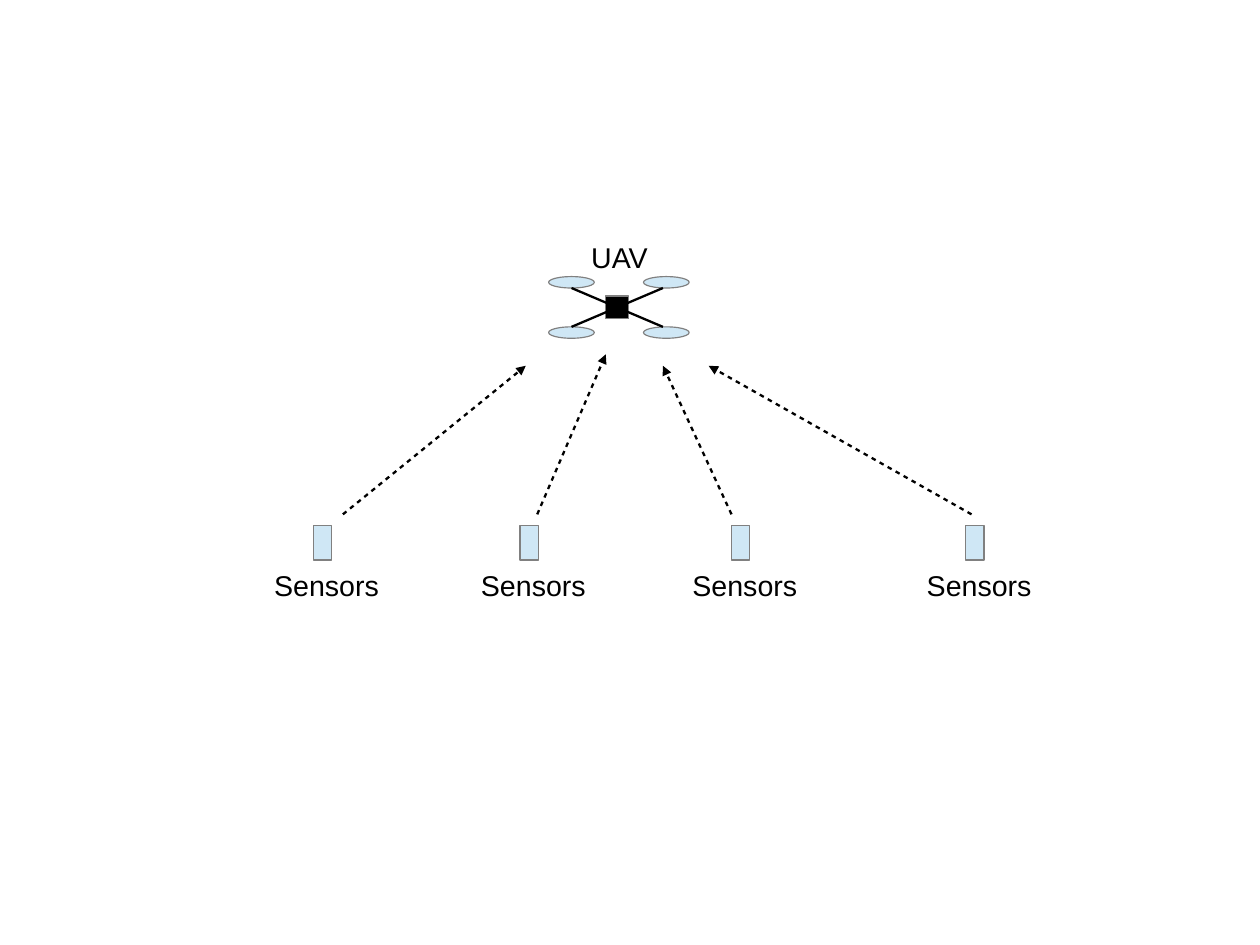
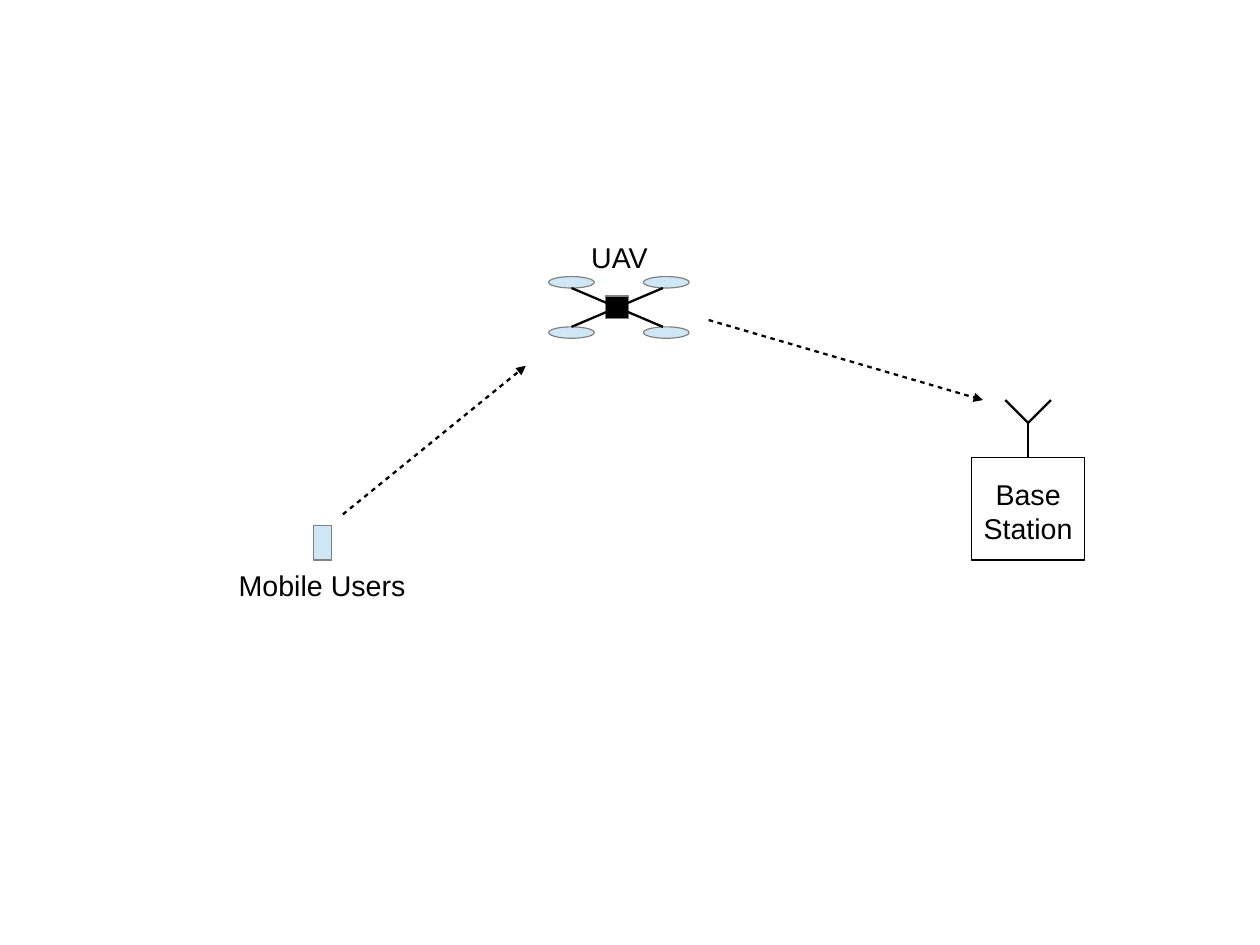
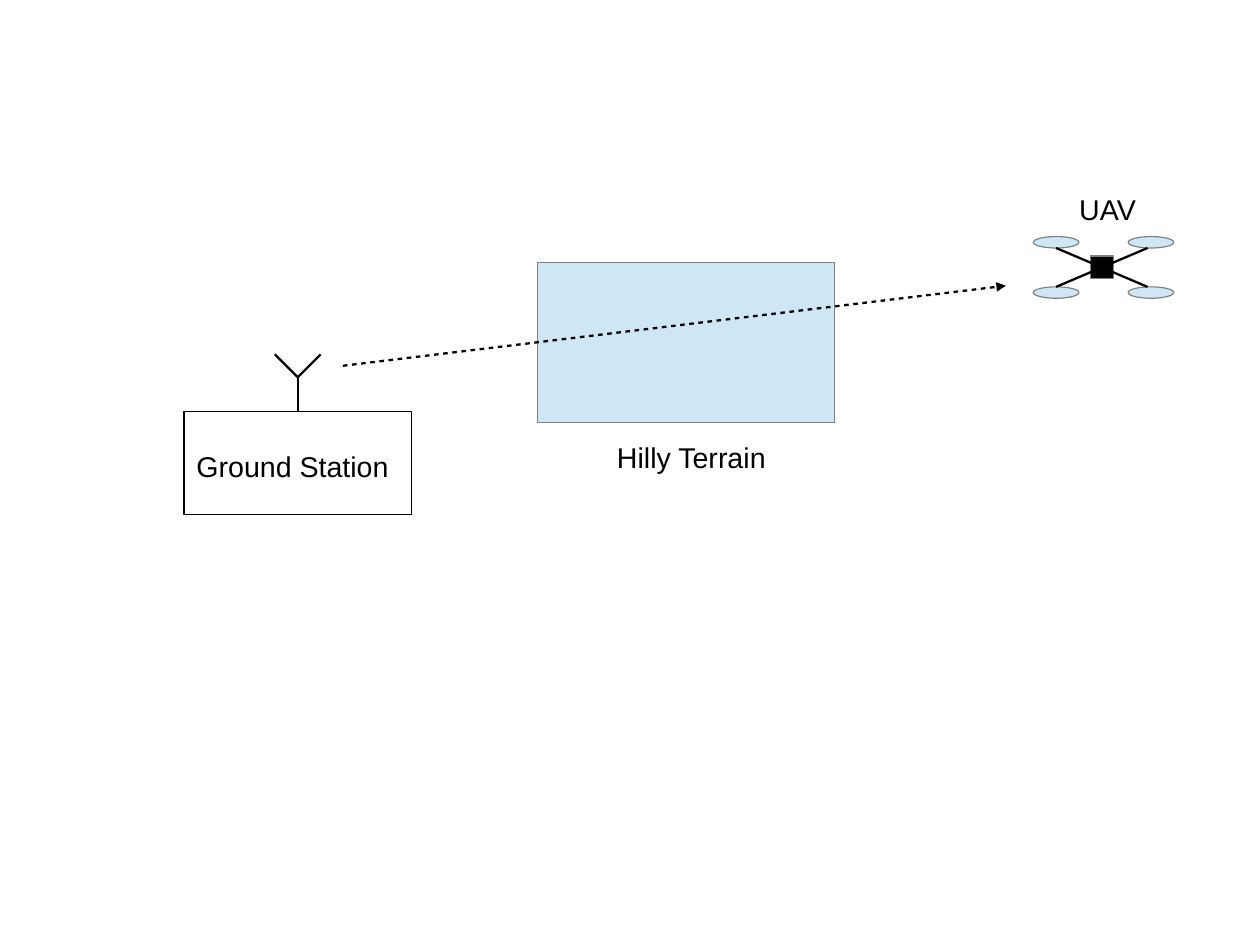
import pptx
import pptx.util
import pptx.dml.color
import pptx.enum.shapes
import pptx.enum.text
import pptx.oxml.ns
import lxml.etree

Inches = pptx.util.Inches
Pt = pptx.util.Pt
RGBColor = pptx.dml.color.RGBColor
Kind = pptx.enum.shapes.MSO_SHAPE
Align = pptx.enum.text.PP_ALIGN

BLACK = RGBColor(0x00, 0x00, 0x00)
WHITE = RGBColor(0xFF, 0xFF, 0xFF)
GREY = RGBColor(0x80, 0x80, 0x80)
BLUE = RGBColor(0xCF, 0xE7, 0xF5)
FONT = "Arial"
SIZE = Pt(18)
STROKE = Pt(1.45)


# Basic parts
def write(shape, text, align):
    frame = shape.text_frame
    frame.text = text
    para = frame.paragraphs[0]
    para.alignment = align
    font = para.runs[0].font
    font.name, font.size = FONT, SIZE
    font.color.rgb = BLACK


def block(shapes, x, y, w, h, fill=BLUE, edge=GREY, kind=Kind.RECTANGLE):
    shape = shapes.add_shape(kind, Inches(x), Inches(y), Inches(w), Inches(h))
    shape.shadow.inherit = False
    if fill is None:
        shape.fill.background()
    else:
        shape.fill.solid()
        shape.fill.fore_color.rgb = fill
    shape.line.color.rgb = edge
    shape.line.width = Pt(0)
    return shape


def label(shapes, x, y, w, text, h=0.38, align=Align.LEFT):
    box = shapes.add_textbox(Inches(x), Inches(y), Inches(w), Inches(h))
    box.text_frame.word_wrap = True
    write(box, text, align)


def line(shapes, x1, y1, x2, y2):
    link = shapes.add_connector(
        pptx.enum.shapes.MSO_CONNECTOR.STRAIGHT,
        Inches(x1), Inches(y1), Inches(x2), Inches(y2))
    link.line.color.rgb = BLACK
    link.line.width = STROKE
    add(link._element.spPr, "a:effectLst")
    return link


def add(parent, tag, **values):
    return lxml.etree.SubElement(parent, pptx.oxml.ns.qn(tag), **values)


def arrow(shapes, x1, y1, x2, y2):
    stroke = line(shapes, x1, y1, x2, y2).line._get_or_add_ln()
    add(add(stroke, "a:custDash"), "a:ds", d="200000", sp="200000")
    add(stroke, "a:tailEnd", type="triangle")


# Drawn objects
def drone(slide, x, y, shift, rise):
    """UAV with its rotors' top left corner at x, y and a label above."""
    shapes = slide.shapes.add_group_shape().shapes
    name = block(shapes, x + shift, y - rise, 0.9, 0.3, WHITE, WHITE)
    name.text_frame.vertical_anchor = pptx.enum.text.MSO_ANCHOR.MIDDLE
    write(name, "UAV", Align.CENTER)
    block(shapes, x + 0.5, y + 0.17, 0.2, 0.2, BLACK)
    for dy in (0, 0.44):
        for dx in (0.83, 0):
            block(shapes, x + dx, y + dy, 0.4, 0.1, kind=Kind.OVAL)
    for left, right in ((0.2, 1), (1, 0.2)):
        line(shapes, x + left, y + 0.1, x + right, y + 0.44)


def device(slide, x, y, text, width, shift):
    """Small ground device with a label below."""
    block(slide.shapes, x, y, 0.16, 0.3)
    label(slide.shapes, x - shift, y + 0.32, width, text)


def mast(shapes, x, y):
    """Antenna whose foot stands at x, y."""
    line(shapes, x, y, x, y - 0.3)
    for dx in (-0.2, 0.2):
        line(shapes, x, y - 0.3, x + dx, y - 0.5)


def station(slide, x, y, w, text, box, align):
    """Outlined station with antenna; box is the text's dx, dy, width, height."""
    shapes = slide.shapes.add_group_shape().shapes
    mast(shapes, x + w / 2, y)
    block(shapes, x, y, w, 0.9, None, BLACK)
    dx, dy, wide, high = box
    label(shapes, x + dx, y + dy, wide, text, high, align)


# Slides
def sensing(slide):
    drone(slide, 4.8, 2.42, 0.17, 0.32)
    for x in (2.74, 4.55, 6.4, 8.45):
        device(slide, x, 4.6, "Sensors", 1.2, 0.44)
    for x1, x2, y2 in ((3, 4.6, 3.2), (4.7, 5.3, 3.1),
                       (6.4, 5.8, 3.2), (8.5, 6.2, 3.2)):
        arrow(slide.shapes, x1, 4.5, x2, y2)


def relay(slide):
    drone(slide, 4.8, 2.42, 0.17, 0.32)
    device(slide, 2.74, 4.6, "Mobile Users", 1.75, 0.75)
    station(slide, 8.5, 4, 0.99, "Base Station",
            (-0.25, 0.12, 1.49, 0.66), Align.CENTER)
    arrow(slide.shapes, 3, 4.5, 4.6, 3.2)
    arrow(slide.shapes, 6.2, 2.8, 8.6, 3.5)


def terrain(slide):
    block(slide.shapes, 4.7, 2.3, 2.6, 1.4)
    label(slide.shapes, 5.3, 3.8, 1.6, "Hilly Terrain")
    drone(slide, 9.04, 2.07, 0.2, 0.39)
    station(slide, 1.61, 3.6, 1.99, "Ground Station",
            (0.01, 0.28, 1.98, 0.38), Align.LEFT)
    arrow(slide.shapes, 3, 3.2, 8.8, 2.5)


def main():
    deck = pptx.Presentation()
    # 28 by 21 cm page
    deck.slide_width, deck.slide_height = pptx.util.Cm(28), pptx.util.Cm(21)
    for draw in (sensing, relay, terrain):
        draw(deck.slides.add_slide(deck.slide_layouts[6]))
    deck.save("out.pptx")


if __name__ == "__main__":
    main()
